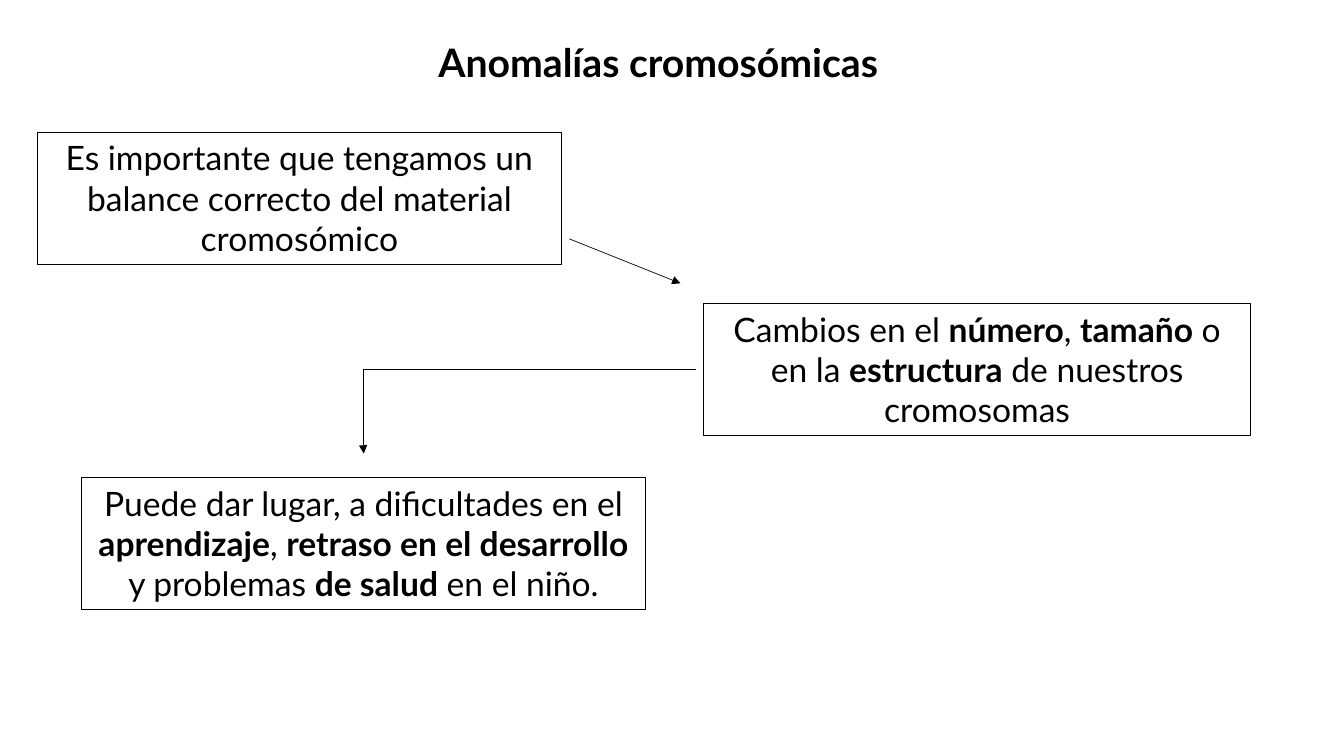
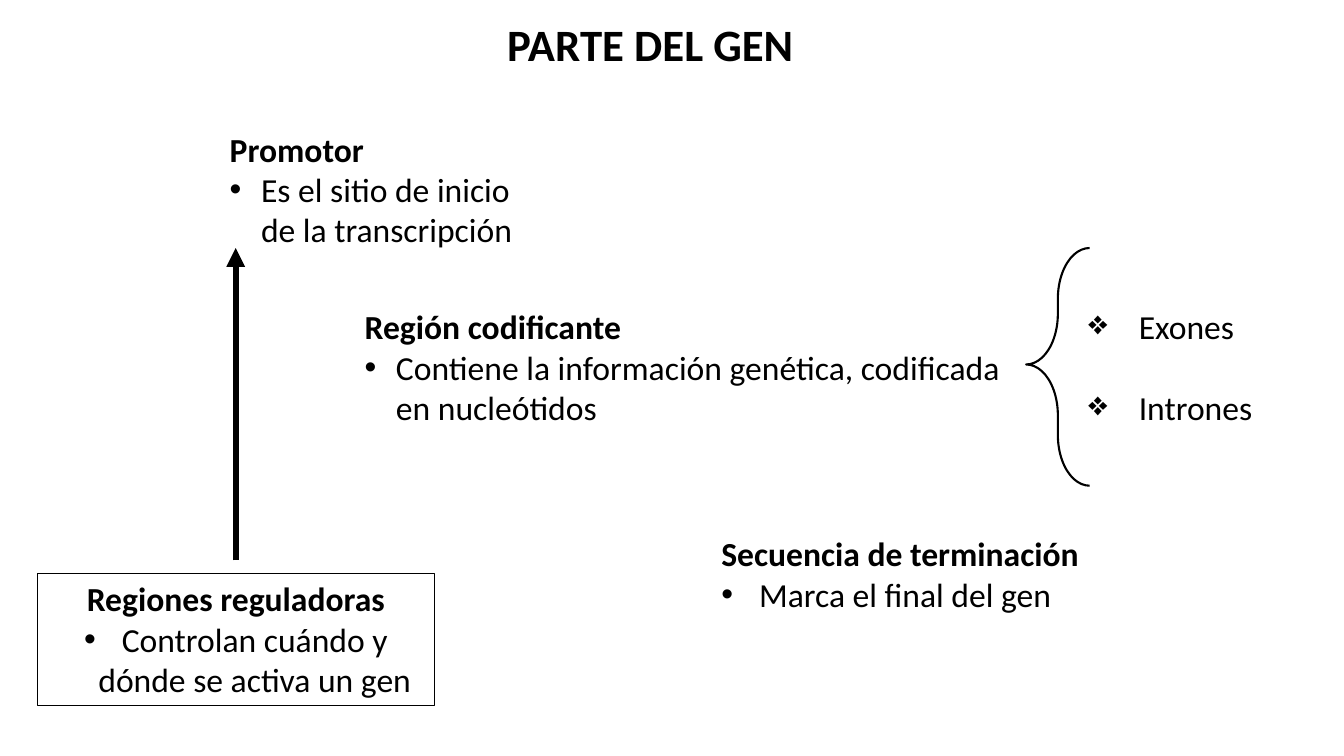
from lxml.etree import SubElement
from pptx import Presentation
from pptx.dml.color import RGBColor
from pptx.enum.shapes import MSO_CONNECTOR as Link, MSO_SHAPE as Preset
from pptx.enum.text import MSO_ANCHOR as Anchor, PP_ALIGN as Align
from pptx.oxml.ns import qn
from pptx.util import Cm, Pt

BLACK = "000000"
BODY_SIZE = 24
BULLET, DIAMOND = "•", "❖"
TEXT_HEIGHT = 3.33  # three lines of body text, in centimetres

# Places are left, top, width, height in centimetres; **...** marks bold text.
ANOMALIES = {
    "font": "Lato",
    "title": ("Anomalías cromosómicas", (10.8, 0.84, 12.7, 1.45), 28, Align.LEFT),
    "boxes": [
        ((0.94, 3.33, 13.21, TEXT_HEIGHT),
         [("Es importante que tengamos un balance correcto del material cromosómico",)]),
        ((17.73, 7.65, 13.79, TEXT_HEIGHT),
         [("Cambios en el **número**, **tamaño** o en la **estructura** de nuestros cromosomas",)]),
        ((2.06, 12.04, 14.2, TEXT_HEIGHT),
         [("Puede dar lugar, a dificultades en el **aprendizaje**, "
           "**retraso en el desarrollo **y problemas **de salud** en el niño.",)]),
    ],
    "notes": [],
    "arrows": [
        (Link.STRAIGHT, (14.35, 6.02), (17.15, 7.14), 0.5),
        (Link.ELBOW, (17.53, 9.3), (9.17, 11.43), 0.5),
    ],
}

# A bulleted paragraph adds its bullet, indent (cm) and space before (pt).
GENE_PARTS = {
    "font": "Calibri",
    "title": ("PARTE DEL GEN", (7.92, 0.3, 16.94, 1.63), 32, Align.CENTER),
    "boxes": [
        ((0.94, 14.45, 10.01, TEXT_HEIGHT),
         [("**Regiones reguladoras**",),
          ("Controlan cuándo y dónde se activa un gen", BULLET, 0.95, 0)]),
    ],
    "notes": [
        ((5.54, 3.12, 8.41, TEXT_HEIGHT),
         [("**Promotor**",),
          ("Es el sitio de inicio de la transcripción", BULLET, 0.79, 0)]),
        ((8.94, 7.59, 16.94, TEXT_HEIGHT),
         [("**Región codificante**",),
          ("Contiene la información genética, codificada en nucleótidos", BULLET, 0.79, 0)]),
        ((17.93, 13.31, 11.61, 2.31),
         [("**Secuencia de terminación**",),
          ("Marca el final del gen", BULLET, 0.95, 0)]),
        ((27.18, 7.59, 5.87, TEXT_HEIGHT),
         [("Exones", DIAMOND, 1.27, 0),
          ("Intrones", DIAMOND, 1.27, 29)]),
    ],
    "arrows": [(Link.STRAIGHT, (5.94, 14.12), (5.94, 6.25), 4.5)],
}
BRACE_PLACE = (25.86, 6.25, 1.6, 5.99)
BRACE_CURVE = (0.8, 0.49)


def color(hex_string):
    return RGBColor.from_string(hex_string)


def lengths(values):
    return [Cm(value) for value in values]


def set_line(shape, width):
    shape.line.color.rgb = color(BLACK)
    shape.line.width = Pt(width)


def set_bullet(paragraph, bullet, indent, space_before):
    properties = paragraph._p.get_or_add_pPr()
    properties.set("marL", str(Cm(indent)))
    properties.set("indent", str(-Cm(indent)))
    if bullet == BULLET:
        SubElement(properties, qn("a:buFont"), typeface="Arial")
    SubElement(properties, qn("a:buChar"), char=bullet)
    if space_before:
        paragraph.space_before = Pt(space_before)


def write(shape, paragraphs, font, size=BODY_SIZE, alignment=Align.LEFT):
    frame = shape.text_frame
    frame.word_wrap = True
    frame.vertical_anchor = Anchor.TOP
    for index, (text, *bullet) in enumerate(paragraphs):
        paragraph = frame.add_paragraph() if index else frame.paragraphs[0]
        paragraph.alignment = alignment
        if bullet:
            set_bullet(paragraph, *bullet)
        for position, part in enumerate(text.split("**")):
            if part:
                run = paragraph.add_run()
                run.text = part
                run.font.name = font
                run.font.size = Pt(size)
                run.font.bold = position % 2 == 1
                run.font.color.rgb = color(BLACK)


def add_outline(slide, preset, place, width):
    shape = slide.shapes.add_shape(preset, *lengths(place))
    shape.shadow.inherit = False
    shape.fill.background()
    set_line(shape, width)
    return shape


def add_arrow(slide, kind, start, end, width):
    arrow = slide.shapes.add_connector(kind, *lengths(start + end))
    set_line(arrow, width)
    SubElement(arrow.line._get_or_add_ln(), qn("a:tailEnd"), type="triangle")
    properties = arrow._element.spPr
    SubElement(properties, qn("a:effectLst"))
    if kind == Link.ELBOW:
        # Turn at the far end, so that the last stretch runs straight down.
        guides = properties.find(qn("a:prstGeom")).get_or_add_avLst()
        SubElement(guides, qn("a:gd"), name="adj1", fmla="val 100200")


def add_diagram(presentation, diagram):
    slide = presentation.slides.add_slide(presentation.slide_layouts[6])
    font = diagram["font"]
    title, place, size, alignment = diagram["title"]
    title_box = slide.shapes.add_textbox(*lengths(place))
    write(title_box, [(f"**{title}**",)], font, size, alignment)
    for place, paragraphs in diagram["boxes"]:
        box = add_outline(slide, Preset.RECTANGLE, place, 0.75)
        write(box, paragraphs, font, alignment=Align.CENTER)
    for place, paragraphs in diagram["notes"]:
        write(slide.shapes.add_textbox(*lengths(place)), paragraphs, font)
    for arrow in diagram["arrows"]:
        add_arrow(slide, *arrow)
    return slide


def main():
    presentation = Presentation()
    presentation.slide_width, presentation.slide_height = Cm(33.87), Cm(19.05)
    add_diagram(presentation, ANOMALIES)
    gene_slide = add_diagram(presentation, GENE_PARTS)
    brace = add_outline(gene_slide, Preset.LEFT_BRACE, BRACE_PLACE, 1.5)
    for index, value in enumerate(BRACE_CURVE):
        brace.adjustments[index] = value
    presentation.save("out.pptx")


if __name__ == "__main__":
    main()
